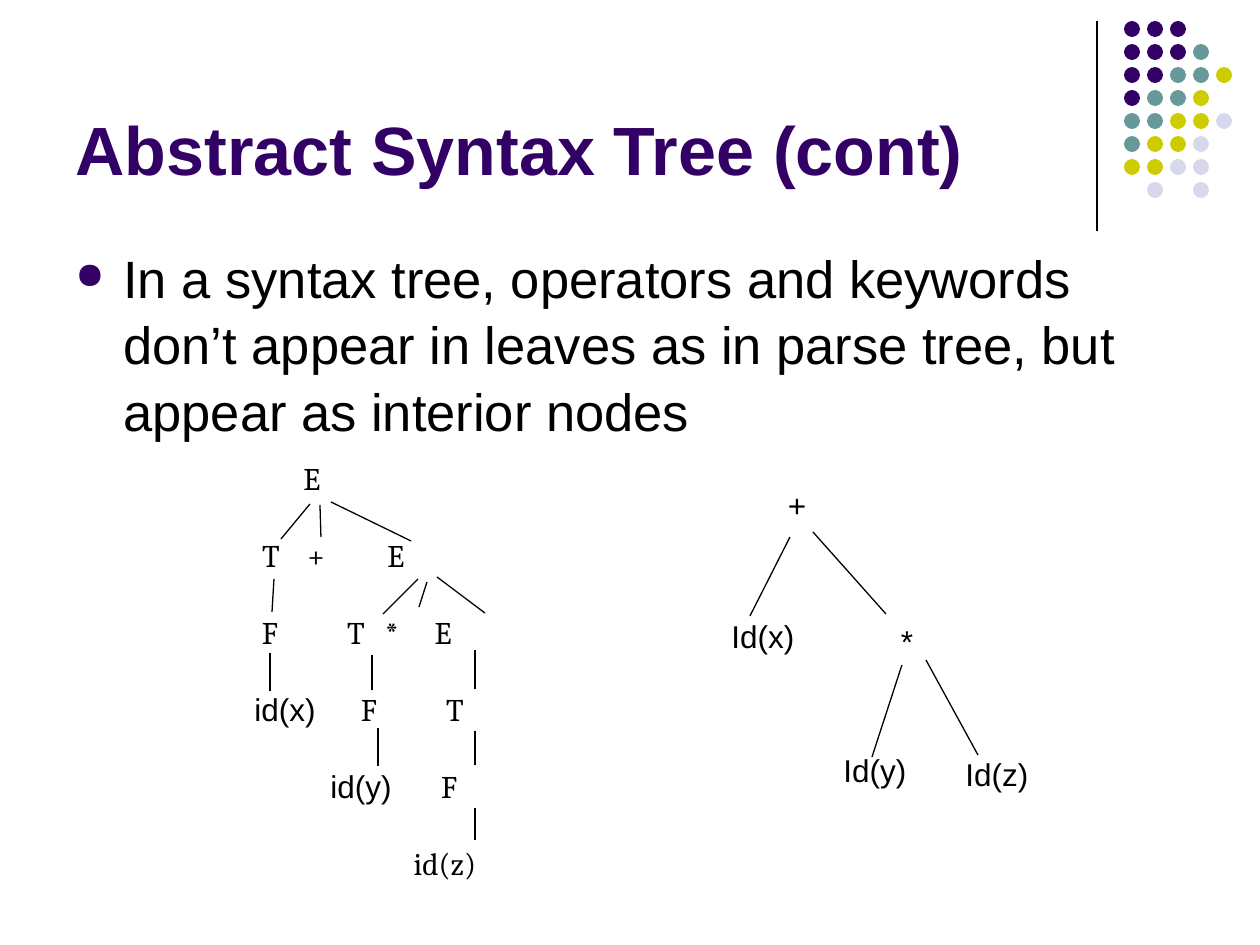
from dataclasses import dataclass

from lxml import etree
from pptx import Presentation
from pptx import util as u
from pptx.dml.color import RGBColor
from pptx.enum import shapes, text
from pptx.oxml.ns import qn


@dataclass(frozen=True)
class Theme:
    purple: str = "330066"
    teal: str = "669999"
    yellow: str = "CCCC00"
    lavender: str = "D8D8EC"
    ink: str = "000000"
    sans: str = "Arial"
    serif: str = "Cambria"
    title_size: int = 39
    body_size: int = 30
    node_size: int = 18
    line_width: float = 0.75


THEME = Theme()
PX = u.Inches(1) // 126

# Dot ornament: one letter per dot, a space for a gap
DOT_COLORS = {"P": THEME.purple, "T": THEME.teal, "Y": THEME.yellow, "L": THEME.lavender}
DOT_ROWS = ["PPP", "PPPT", "PPTTY", "PTTY", "TTYYL", "TYYL", "YYLL", " L L"]
DOT_LEFT, DOT_TOP, DOT_PITCH, DOT_SIZE = 1124, 21, 23, 16

# Parse tree: label and horizontal centre of each node, level by level
PARSE_TOP, PARSE_STEP = 459, 77
PARSE_LEVELS = [
    [("E", 312)],
    [("T", 271), ("+", 316), ("E", 396)],
    [("F", 270), ("T", 356), ("*", 392), ("E", 443)],
    [("id(x)", 285), ("F", 369), ("T", 455)],
    [("id(y)", 361), ("F", 449)],
    [("id(z)", 445)],
]
SANS_LEAVES = ("id(x)", "id(y)")
PARSE_EDGES = [
    (310, 504, 281, 539), (320, 505, 321, 537), (331, 502, 411, 541),
    (274, 579, 272, 612), (418, 579, 383, 614), (427, 582, 419, 607),
    (437, 577, 485, 613), (270, 653, 270, 691), (372, 655, 372, 690),
    (475, 650, 475, 689), (378, 728, 378, 766), (475, 731, 475, 765),
    (475, 808, 475, 840),
]

# Syntax tree: label, horizontal centre and top of each node
SYNTAX_NODES = [("+", 797, 486), ("Id(x)", 763, 617), ("*", 907, 622),
                ("Id(y)", 875, 751), ("Id(z)", 997, 755)]
SYNTAX_EDGES = [(790, 537, 750, 616), (813, 532, 886, 614),
                (902, 665, 872, 757), (926, 660, 978, 755)]


def px(*lengths):
    return [length * PX for length in lengths]


def set_font(paragraph, size, color, name=THEME.sans, bold=False):
    font = paragraph.font
    font.size, font.name, font.bold = u.Pt(size), name, bold
    font.color.rgb = RGBColor.from_string(color)


def add_line(slide, start_x, start_y, end_x, end_y):
    line = slide.shapes.add_connector(
        shapes.MSO_CONNECTOR.STRAIGHT, *px(start_x, start_y, end_x, end_y))
    line.line.color.rgb = RGBColor.from_string(THEME.ink)
    line.line.width = u.Pt(THEME.line_width)
    etree.SubElement(line._element.spPr, qn("a:effectLst"))


def add_dot(slide, left, top, color):
    dot = slide.shapes.add_shape(
        shapes.MSO_SHAPE.OVAL, *px(left, top, DOT_SIZE, DOT_SIZE))
    dot.shadow.inherit = False
    dot.fill.solid()
    dot.fill.fore_color.rgb = RGBColor.from_string(color)
    dot.line.fill.background()


def add_ornament(slide):
    add_line(slide, 1097, 21, 1097, 231)
    for row, letters in enumerate(DOT_ROWS):
        for column, letter in enumerate(letters):
            if letter in DOT_COLORS:
                add_dot(slide, DOT_LEFT + column * DOT_PITCH,
                        DOT_TOP + row * DOT_PITCH, DOT_COLORS[letter])


def set_title(slide, words):
    title = slide.shapes.title
    title.left, title.top, title.width, title.height = px(63, 16, 1040, 179)
    frame = title.text_frame
    frame.text = words
    frame.auto_size = text.MSO_AUTO_SIZE.NONE
    frame.vertical_anchor = text.MSO_ANCHOR.BOTTOM
    paragraph = frame.paragraphs[0]
    paragraph.alignment = text.PP_ALIGN.LEFT
    set_font(paragraph, THEME.title_size, THEME.purple, bold=True)


def add_bullet(paragraph, indent):
    properties = paragraph._p.get_or_add_pPr()
    properties.set("marL", str(indent))
    properties.set("indent", str(-indent))
    color = etree.SubElement(properties, qn("a:buClr"))
    etree.SubElement(color, qn("a:srgbClr"), val=THEME.purple)
    etree.SubElement(properties, qn("a:buSzPct"), val="70000")
    etree.SubElement(properties, qn("a:buChar"), char="●")


def add_body(slide, words):
    frame = slide.shapes.add_textbox(*px(63, 237, 1134, 607)).text_frame
    frame.word_wrap = True
    paragraph = frame.paragraphs[0]
    paragraph.text = words
    add_bullet(paragraph, 48 * PX)
    paragraph.line_spacing = 1.05
    set_font(paragraph, THEME.body_size, THEME.ink)


def add_node(slide, label, center, top, font_name=THEME.sans):
    width = 20 if len(label) == 1 else 64
    frame = slide.shapes.add_textbox(
        *px(center - width // 2, top, width, 38)).text_frame
    frame.margin_left = frame.margin_right = 0
    frame.margin_top = frame.margin_bottom = 0
    frame.word_wrap = False
    paragraph = frame.paragraphs[0]
    paragraph.text = label
    paragraph.alignment = text.PP_ALIGN.CENTER
    set_font(paragraph, THEME.node_size, THEME.ink, font_name)


def add_parse_tree(slide):
    for level, nodes in enumerate(PARSE_LEVELS):
        for label, center in nodes:
            font_name = THEME.sans if label in SANS_LEAVES else THEME.serif
            add_node(slide, label, center, PARSE_TOP + level * PARSE_STEP, font_name)
    for edge in PARSE_EDGES:
        add_line(slide, *edge)


def add_syntax_tree(slide):
    for node in SYNTAX_NODES:
        add_node(slide, *node)
    for edge in SYNTAX_EDGES:
        add_line(slide, *edge)


def main():
    presentation = Presentation()
    presentation.slide_width, presentation.slide_height = px(1260, 945)
    title_only = presentation.slide_layouts[5]
    slide = presentation.slides.add_slide(title_only)

    add_ornament(slide)
    set_title(slide, "Abstract Syntax Tree (cont)")
    add_body(slide, "In a syntax tree, operators and keywords don’t appear in "
                    "leaves as in parse tree, but appear as interior nodes")
    add_syntax_tree(slide)
    add_parse_tree(slide)
    presentation.save("out.pptx")


if __name__ == "__main__":
    main()
